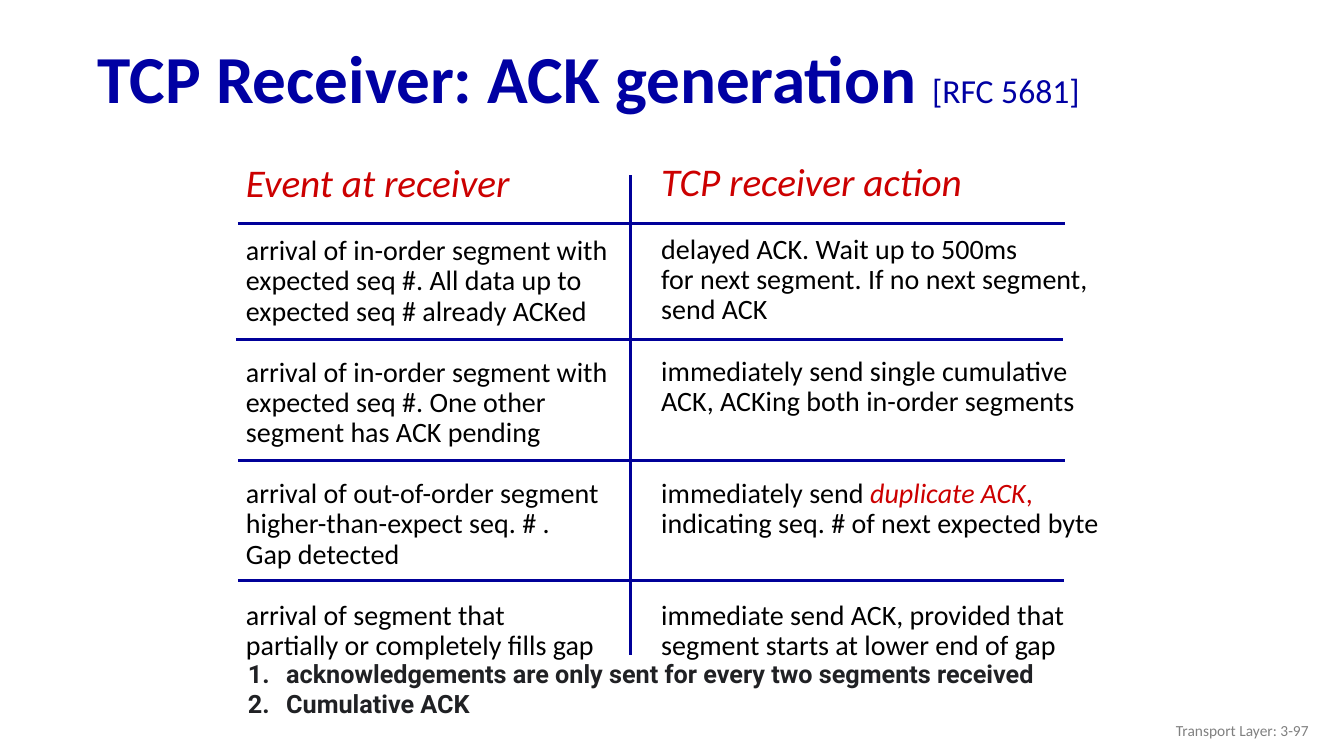
from lxml.etree import SubElement
from pptx import Presentation
from pptx.dml.color import RGBColor
from pptx.enum.shapes import MSO_CONNECTOR
from pptx.enum.text import MSO_ANCHOR, MSO_AUTO_SIZE, PP_ALIGN
from pptx.oxml.ns import qn
from pptx.util import Inches, Pt

TITLE = [("TCP Receiver: ACK generation ", dict(size=48, bold=True)),
         ("[RFC 5681]", dict(size=24, bold=False))]
RED = dict(color="CC0000", italic=True)

# Each column: left, top, width, heading, cells; a line is a list of runs.
COLUMNS = [
    (2.34, 1.57, 3.82, "Event at receiver", [
        [[("arrival of in-order segment with", {})],
         [("expected seq #. All data up to", {})],
         [("expected seq # already ACKed", {})]],
        [[("arrival of in-order segment with", {})],
         [("expected seq #. One other", {})],
         [("segment has ACK pending", {})]],
        [[("arrival of out-of-order segment", {})],
         [("higher-than-expect seq. # .", {})],
         [("Gap detected", {})]],
        [[("arrival of segment that", {})],
         [("partially or completely fills gap", {})]],
    ]),
    (6.46, 1.56, 4.58, "TCP receiver action", [
        [[("delayed ACK. Wait up to 500ms", {})],
         [("for next segment. If no next segment,", {})],
         [("send ACK", {})]],
        [[("immediately send single cumulative", {})],
         [("ACK, ACKing both in-order segments", {})]],
        [[("immediately send ", {}), ("duplicate ACK", RED), (",", dict(color="CC0000"))],
         [("indicating seq. # of next expected byte", {})]],
        [[("immediate send ACK, provided that", {})],
         [("segment starts at lower end of gap", {})]],
    ]),
]
RULES = [
    (6.25, 1.74, 6.25, 6.5),
    (2.36, 2.22, 10.56, 2.22),
    (2.34, 3.37, 10.54, 3.37),
    (2.36, 4.57, 10.56, 4.57),
    (2.36, 5.76, 10.55, 5.76),
]
NOTES = ["acknowledgements are only sent for every two segments received",
         "Cumulative ACK"]
FOOTER = "Transport Layer: 3-97"

LINE_PITCH = 22   # points taken by one 20 pt line at 90 % spacing
ROW_LINES = 4     # every table row is four lines deep


def rgb(value):
    return RGBColor.from_string(value)


def add_run(p, text, size=20, color="000000", name="Calibri", **formats):
    r = p.add_run()
    r.text = text
    r.font.color.rgb = rgb(color)
    for key, value in dict(formats, size=Pt(size), name=name).items():
        setattr(r.font, key, value)


def add_box(s, x, y, w, h, **formats):
    tf = s.shapes.add_textbox(Inches(x), Inches(y), Inches(w), Inches(h)).text_frame
    for key, value in formats.items():
        setattr(tf, key, value)
    return tf


def add_column(s, x, y, w, heading, cells):
    tf = add_box(s, x, y, w, 5.54, word_wrap=False,
                 auto_size=MSO_AUTO_SIZE.SHAPE_TO_FIT_TEXT)
    p = tf.paragraphs[0]
    p.line_spacing = 0.9
    add_run(p, heading, size=28, **RED)
    gap = LINE_PITCH
    for cell in cells:
        for i, line in enumerate(cell):
            p = tf.add_paragraph()
            p.line_spacing = 0.9
            p.space_before = Pt(0 if i else gap)
            for text, formats in line:
                add_run(p, text, **formats)
        gap = (ROW_LINES - len(cell)) * LINE_PITCH


def add_rule(s, x1, y1, x2, y2):
    line = s.shapes.add_connector(MSO_CONNECTOR.STRAIGHT, Inches(x1), Inches(y1),
                                  Inches(x2), Inches(y2))
    line.line.color.rgb = rgb("000099")
    line.line.width = Pt(2.25)
    SubElement(line._element.spPr, qn("a:effectLst"))


def add_notes(s):
    tf = add_box(s, 2.36, 6.48, 8.18, 0.71, word_wrap=True,
                 auto_size=MSO_AUTO_SIZE.SHAPE_TO_FIT_TEXT)
    for i, text in enumerate(NOTES):
        p = tf.add_paragraph() if i else tf.paragraphs[0]
        pPr = p._p.get_or_add_pPr()
        pPr.set("marL", str(Inches(0.38)))
        pPr.set("indent", str(-Inches(0.38)))
        SubElement(pPr, qn("a:buFont"), typeface="+mj-lt")
        SubElement(pPr, qn("a:buAutoNum"), type="arabicPeriod")
        add_run(p, text, size=18, color="202124", name="Roboto", bold=True)


def main():
    prs = Presentation()
    prs.slide_width, prs.slide_height = Inches(13.33), Inches(7.5)
    s = prs.slides.add_slide(prs.slide_layouts[5])

    title = s.shapes.title
    title.left, title.top = Inches(0.87), Inches(0.32)
    title.width, title.height = Inches(12.46), Inches(0.98)
    tf = title.text_frame
    tf.auto_size = MSO_AUTO_SIZE.NONE
    tf.vertical_anchor = MSO_ANCHOR.MIDDLE
    p = tf.paragraphs[0]
    p.alignment = PP_ALIGN.LEFT
    p.line_spacing = 0.9
    for text, formats in TITLE:
        add_run(p, text, color="0000A3", **formats)

    for column in COLUMNS:
        add_column(s, *column)
    for rule in RULES:
        add_rule(s, *rule)

    tf = add_box(s, 10.08, 7.05, 3, 0.4, word_wrap=True,
                 vertical_anchor=MSO_ANCHOR.MIDDLE)
    p = tf.paragraphs[0]
    p.alignment = PP_ALIGN.RIGHT
    add_run(p, FOOTER, size=11, color="808080")
    add_notes(s)
    prs.save("out.pptx")


if __name__ == "__main__":
    main()
